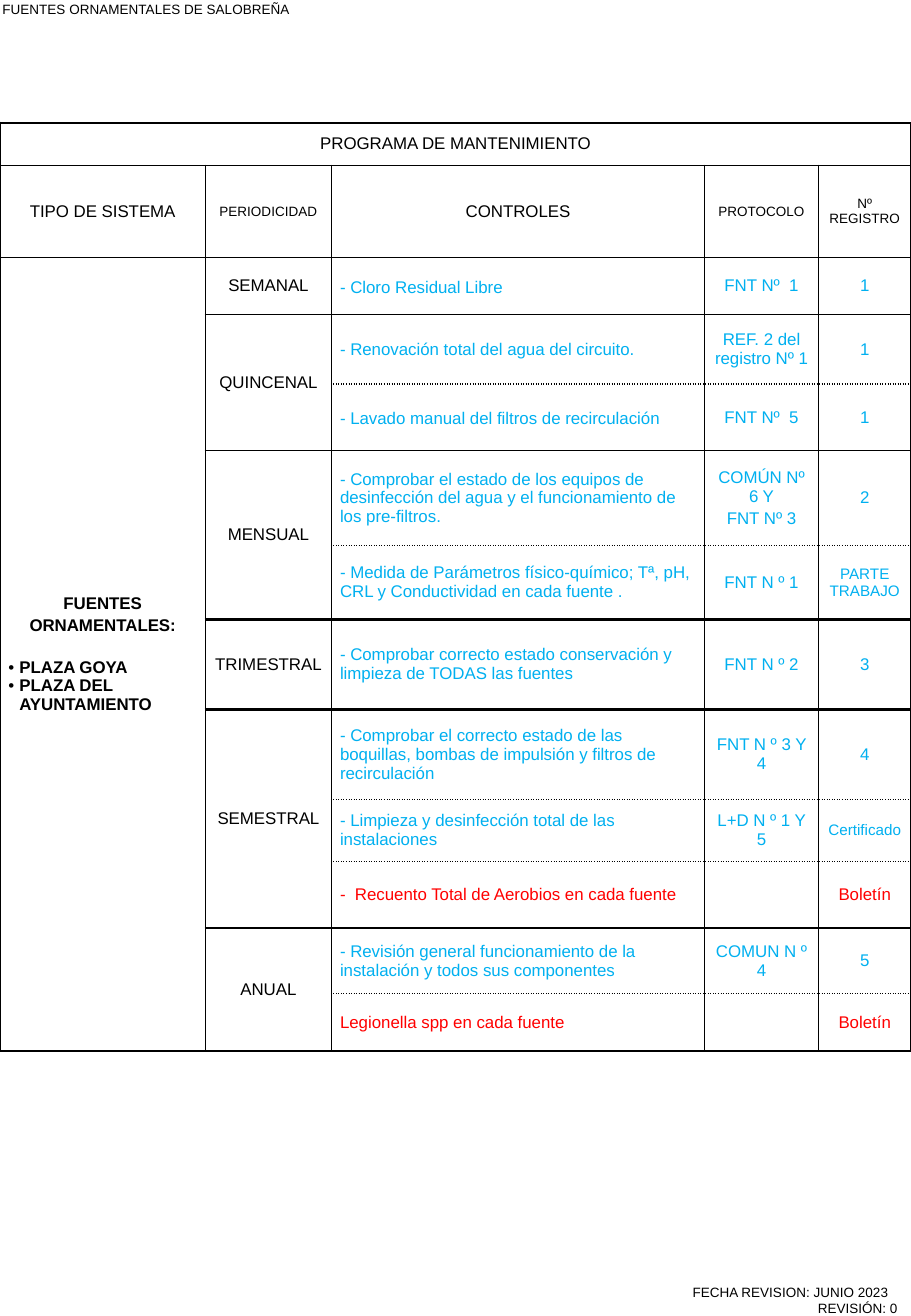
from dataclasses import dataclass

from lxml.etree import SubElement
from pptx import Presentation
from pptx.dml.color import RGBColor
from pptx.enum.text import MSO_ANCHOR, PP_ALIGN
from pptx.oxml.ns import qn
from pptx.util import Inches, Pt


@dataclass(frozen=True)
class Theme:
    font: str = "Arial"
    ink: str = "000000"
    routine: str = "00B0F0"
    laboratory: str = "FF0000"
    body: int = 10
    compact: int = 9
    small: int = 8
    paragraph_gap: float = 2
    list_gap: float = 13.5
    bullet_indent: float = 0.09
    plain_table: str = "{2D5ABB26-0587-4C30-8999-92F81FD0307C}"


@dataclass(frozen=True)
class Rule:
    """A border line: width in points and preset dash."""
    width: float = 1
    dash: str = "solid"


THIN = Rule()
THICK = Rule(1.5)
DOTTED = Rule(0.75, "dot")
FINE_DOTTED = Rule(1, "sysDot")

THEME = Theme()
COLUMNS = [1.69, 1.04, 3.07, 0.94, 0.76]
ROWS = [0.35, 0.76, 0.47, 0.57, 0.55, 0.78, 0.61, 0.74, 0.74, 0.51, 0.55, 0.54, 0.47]
HEADINGS = [("TIPO DE SISTEMA", THEME.body), ("PERIODICIDAD", THEME.small),
            ("CONTROLES", THEME.body), ("PROTOCOLO", THEME.small),
            ("Nº REGISTRO", THEME.small)]

# Periodicity, rule between its controls, rule below it, and its controls:
# control, protocol lines, register.
PROGRAMME = [
    ("SEMANAL", THIN, THIN, [("- Cloro Residual Libre", ["FNT Nº  1"], "1")]),
    ("QUINCENAL", FINE_DOTTED, THIN, [
        ("- Renovación total del agua del circuito.", ["REF. 2 del registro Nº 1"], "1"),
        ("- Lavado manual del filtros de recirculación", ["FNT Nº  5"], "1")]),
    ("MENSUAL", DOTTED, THICK, [
        ("- Comprobar el estado de los equipos de desinfección del agua y el "
         "funcionamiento de los pre-filtros.", ["COMÚN Nº 6 Y", "FNT Nº 3"], "2"),
        ("- Medida de Parámetros físico-químico; Tª, pH, CRL y Conductividad "
         "en cada fuente .", ["FNT N º 1"], "PARTE TRABAJO")]),
    ("TRIMESTRAL", THICK, THICK, [
        ("- Comprobar correcto estado conservación y limpieza de TODAS las fuentes",
         ["FNT N º 2"], "3")]),
    ("SEMESTRAL", DOTTED, THICK, [
        ("- Comprobar el correcto estado de las boquillas, bombas de impulsión y "
         "filtros de recirculación", ["FNT N º 3 Y 4"], "4"),
        ("- Limpieza y desinfección total de las instalaciones",
         ["L+D N º 1 Y 5"], "Certificado"),
        ("-  Recuento Total de Aerobios en cada fuente", [""], "Boletín")]),
    ("ANUAL", FINE_DOTTED, THIN, [
        ("- Revisión general funcionamiento de la instalación y todos sus componentes",
         ["COMUN N º 4"], "5"),
        ("Legionella spp en cada fuente", [""], "Boletín")]),
]
COMPACT_REGISTERS = {"PARTE TRABAJO", "Certificado"}
SPACED_CONTROLS = {"- Cloro Residual Libre", "- Lavado manual del filtros de recirculación"}


class Sheet:
    def __init__(self, deck, theme):
        self.deck = deck
        self.theme = theme
        self.page = deck.slides.add_slide(deck.slide_layouts[6])

    def style(self, para, size, color=None, bold=False, align=PP_ALIGN.CENTER):
        para.alignment = align
        font = para.font
        font.name, font.size, font.bold = self.theme.font, Pt(size), bold
        font.color.rgb = RGBColor.from_string(color or self.theme.ink)

    def paragraphs(self, frame, lines, size, **look):
        for index, line in enumerate(lines):
            para = frame.paragraphs[0] if index == 0 else frame.add_paragraph()
            para.text = line
            if index:
                para.space_before = Pt(self.theme.paragraph_gap)
            self.style(para, size, **look)

    def label(self, text, left, top, width, height, align):
        """Add a small text line; lengths are shares of the slide's size."""
        across, down = self.deck.slide_width, self.deck.slide_height
        box = self.page.shapes.add_textbox(int(left * across), int(top * down),
                                           int(width * across), int(height * down))
        frame = box.text_frame
        frame.word_wrap = True
        frame.margin_left = frame.margin_right = Inches(0.02)
        frame.margin_top = frame.margin_bottom = Inches(0.01)
        self.paragraphs(frame, [text], self.theme.small, align=align)

    def grid(self, columns, rows, top):
        """Add an unstyled table with the given column and row sizes in inches."""
        frame = self.page.shapes.add_table(len(rows), len(columns), 0, Inches(top),
                                           Inches(sum(columns)), Inches(sum(rows)))
        table = frame.table
        table.first_row = table.horz_banding = False
        table._tbl.tblPr.find(qn("a:tableStyleId")).text = self.theme.plain_table
        for column, width in zip(table.columns, columns):
            column.width = Inches(width)
        for row, height in zip(table.rows, rows):
            row.height = Inches(height)
        return table

    def cell(self, cell, lines, size, side=0.07, **look):
        cell.margin_left = cell.margin_right = Inches(side)
        cell.margin_top = cell.margin_bottom = Inches(0.02)
        cell.vertical_anchor = MSO_ANCHOR.MIDDLE
        self.paragraphs(cell.text_frame, lines, size, **look)

    def bullets(self, frame, items):
        indent = Inches(self.theme.bullet_indent)
        for index, item in enumerate(items):
            para = frame.add_paragraph()
            para.text = item
            if index == 0:
                para.space_before = Pt(self.theme.list_gap)
            properties = para._p.get_or_add_pPr()
            properties.set("marL", str(indent))
            properties.set("indent", str(-indent))
            SubElement(properties, qn("a:buFont"), typeface=self.theme.font)
            SubElement(properties, qn("a:buChar"), char="•")
            self.style(para, self.theme.body, bold=True, align=PP_ALIGN.LEFT)

    def borders(self, table, rules):
        """Draw cell borders; rules holds one line per row edge, from the top."""
        for row in range(len(table.rows)):
            for column in range(len(table.columns)):
                cell = table.cell(row, column)
                if cell.is_spanned:
                    continue
                depth = cell.span_height if cell.is_merge_origin else 1
                sides = {"L": THIN, "R": THIN, "T": rules[row], "B": rules[row + depth]}
                properties = cell._tc.get_or_add_tcPr()
                for side, rule in sides.items():
                    line = SubElement(properties, qn("a:ln" + side), w=str(Pt(rule.width)))
                    fill = SubElement(line, qn("a:solidFill"))
                    SubElement(fill, qn("a:srgbClr"), val=self.theme.ink)
                    SubElement(line, qn("a:prstDash"), val=rule.dash)
                cell.fill.background()

    def programme(self, table):
        """Fill the control rows and return the rules below them."""
        theme, row, rules = self.theme, 2, []
        for period, inner, below, controls in PROGRAMME:
            last = row + len(controls) - 1
            if last > row:
                table.cell(row, 1).merge(table.cell(last, 1))
            self.cell(table.cell(row, 1), [period], theme.body)
            for control, protocol, register in controls:
                color = theme.laboratory if register == "Boletín" else theme.routine
                size = theme.compact if register in COMPACT_REGISTERS else theme.body
                self.cell(table.cell(row, 2), [control], theme.body,
                          color=color, align=PP_ALIGN.LEFT)
                if control in SPACED_CONTROLS:
                    table.cell(row, 2).text_frame.paragraphs[0].line_spacing = 1.15
                self.cell(table.cell(row, 3), protocol, theme.body, color=color)
                self.cell(table.cell(row, 4), [register], size, color=color)
                rules.append(below if row == last else inner)
                row += 1
        return rules


def main():
    deck = Presentation()
    deck.slide_width, deck.slide_height = Inches(7.5), Inches(10.83)
    sheet = Sheet(deck, THEME)

    sheet.label("FUENTES ORNAMENTALES DE SALOBREÑA", 0, 0, 0.43, 0.02, PP_ALIGN.LEFT)
    for text, top, width in [("FECHA REVISION: JUNIO 2023", 0.97, 0.29),
                             ("REVISIÓN: 0", 0.99, 0.3)]:
        sheet.label(text, 0.69, top + 0.005 if width < 0.3 else top - 0.003,
                    width - 0.002, 0.013, PP_ALIGN.RIGHT)

    table = sheet.grid(COLUMNS, ROWS, top=1.01)
    table.cell(0, 0).merge(table.cell(0, len(COLUMNS) - 1))
    sheet.cell(table.cell(0, 0), ["PROGRAMA DE MANTENIMIENTO"], THEME.body, side=0.05)
    for column, (heading, size) in enumerate(HEADINGS):
        sheet.cell(table.cell(1, column), [heading], size, side=0.05)

    system = table.cell(2, 0)
    system.merge(table.cell(len(ROWS) - 1, 0))
    sheet.cell(system, ["FUENTES", "ORNAMENTALES:"], THEME.body, bold=True)
    sheet.bullets(system.text_frame, ["PLAZA GOYA", "PLAZA DEL AYUNTAMIENTO"])

    sheet.borders(table, [THICK, THIN, THIN] + sheet.programme(table))
    deck.save("out.pptx")


if __name__ == "__main__":
    main()
